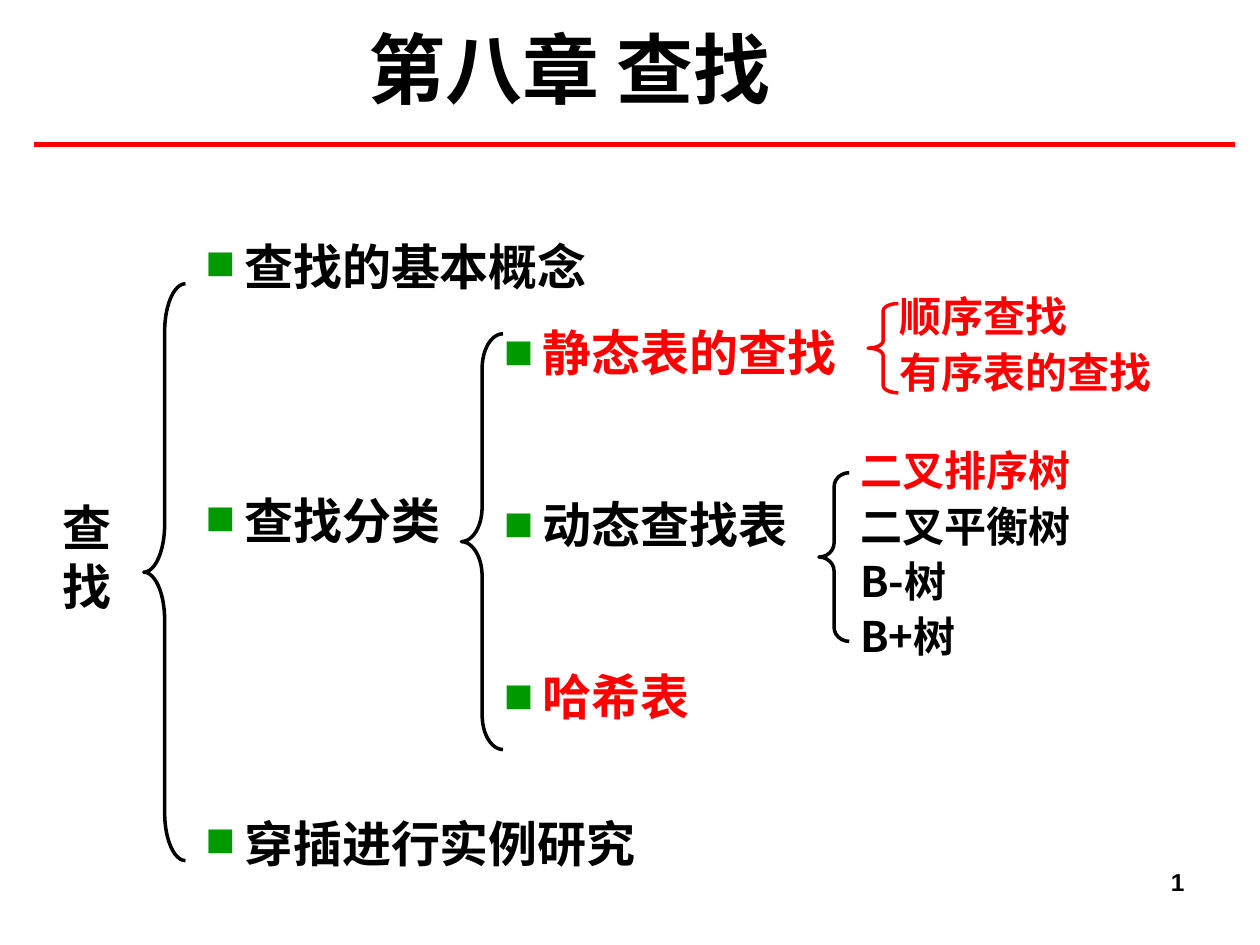
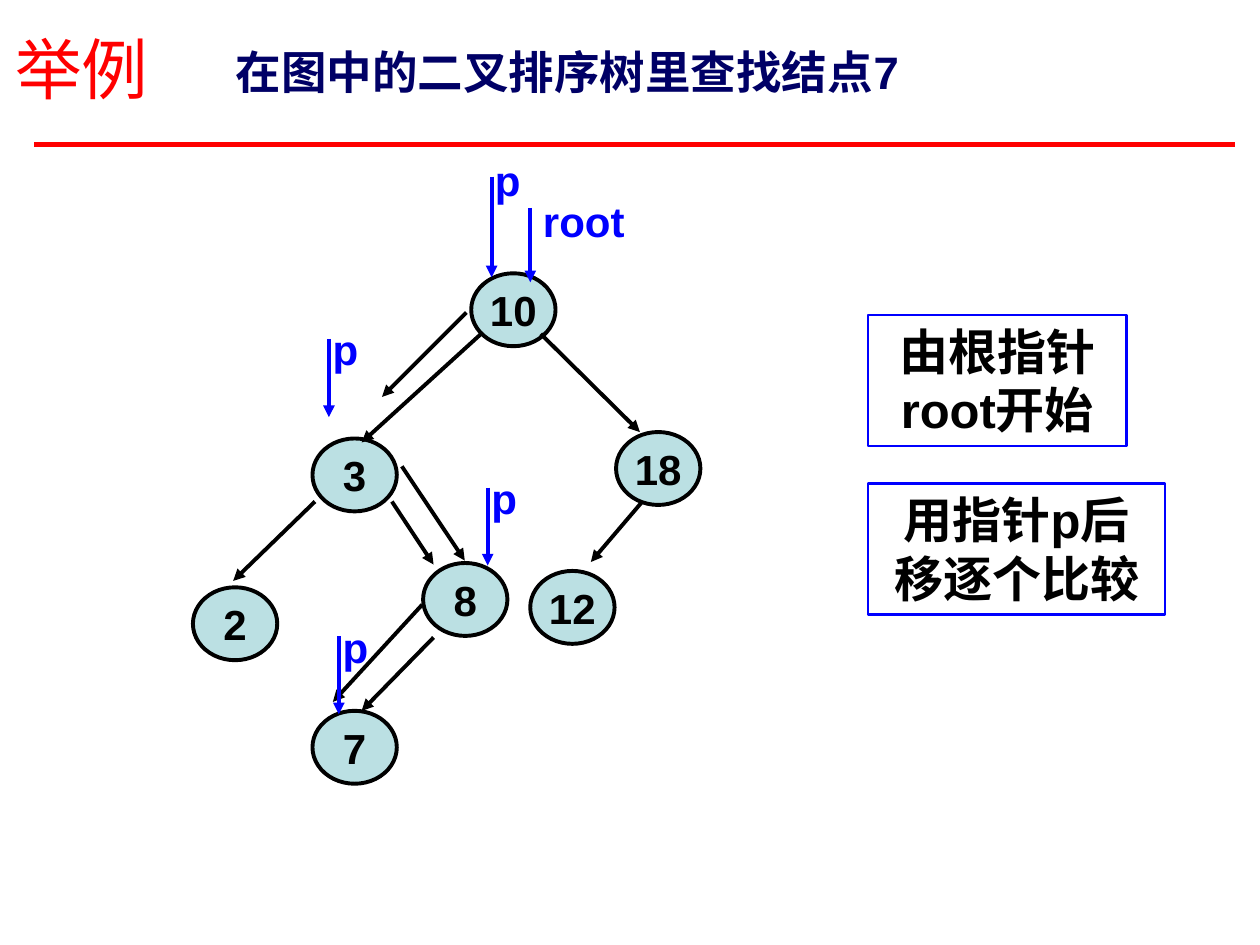
from lxml.etree import SubElement
from pptx import Presentation
from pptx.dml.color import RGBColor
from pptx.enum.shapes import MSO_CONNECTOR as Connector, MSO_SHAPE as Preset
from pptx.enum.text import MSO_ANCHOR as Anchor, MSO_AUTO_SIZE as AutoSize, PP_ALIGN as Align
from pptx.oxml.ns import qn
from pptx.util import Cm, Pt

COLORS = {
    "black": "000000",
    "red": "FF0000",
    "green": "009900",
    "blue": "0000FF",
    "navy": "000066",
    "node": "BBE0E3",
}
RGB = {name: RGBColor.from_string(value) for name, value in COLORS.items()}
CHINESE = "Noto Sans CJK SC"
LATIN = "Arial"


def write_text(shape, items, size, latin=CHINESE, bold=True, align=Align.LEFT, wrap=True):
    """Fill a shape with one paragraph for each (text, color) pair."""
    frame = shape.text_frame
    frame.text = "\n".join(text for text, color in items)
    frame.auto_size = AutoSize.NONE
    frame.word_wrap = wrap
    for paragraph, (text, color) in zip(frame.paragraphs, items):
        paragraph.alignment = align
        for run in paragraph.runs:
            run.font.size = Pt(size)
            run.font.bold = bold
            run.font.color.rgb = RGB[color]
            run.font.name = latin
            SubElement(run.font._element, qn("a:ea"), typeface=CHINESE)
    return frame.paragraphs


def add_line(slide, ends, color, width, arrow=True):
    """Draw a straight line between (x1, y1, x2, y2) in centimetres."""
    line = slide.shapes.add_connector(Connector.STRAIGHT, *[Cm(value) for value in ends])
    line.line.color.rgb = RGB[color]
    line.line.width = Pt(width)
    properties = line._element.spPr
    if arrow:
        SubElement(properties.find(qn("a:ln")), qn("a:tailEnd"), type="triangle")
    SubElement(properties, qn("a:effectLst"))
    return line


presentation = Presentation()
presentation.slide_width, presentation.slide_height = Cm(25.4), Cm(19.05)
layouts = presentation.slide_layouts
outline_slide = presentation.slides.add_slide(layouts[1])
example_slide = presentation.slides.add_slide(layouts[5])

# Shared red rule, placed on the master
rule = add_line(outline_slide, (0.69, 2.92, 24.89, 2.92), "red", 3, arrow=False)
presentation.slide_master.shapes._spTree.append(rule._element)

# Titles
for slide, text, color, size, bold, align in [
    (outline_slide, "第八章 查找", "black", 44, True, Align.CENTER),
    (example_slide, "举例", "red", 38, False, Align.LEFT),
]:
    title = slide.shapes.title
    title.left, title.top, title.width, title.height = Cm(0.05), Cm(0), Cm(22.86), Cm(2.72)
    write_text(title, [(text, color)], size, bold=bold, align=align)
    title.text_frame.vertical_anchor = Anchor.MIDDLE

# Outline: bulleted chapter topics and kinds of search
topics = outline_slide.placeholders[1]
topics.left, topics.top, topics.width, topics.height = Cm(3.89), Cm(5.05), Cm(13), Cm(14)
kinds = outline_slide.shapes.add_textbox(Cm(9.91), Cm(6.32), Cm(7.8), Cm(8.97))
for shape, items, line_spacing, gaps in [
    (topics,
     [("查找的基本概念", "black"), ("查找分类", "black"), ("穿插进行实例研究", "black")],
     0.6, (0, 125.5, 164)),
    (kinds,
     [("静态表的查找", "red"), ("动态查找表", "black"), ("哈希表", "red")],
     1.05, (0, 63, 63)),
]:
    for paragraph, gap in zip(write_text(shape, items, 28), gaps):
        properties = paragraph._p.get_or_add_pPr()
        properties.set("marL", str(Cm(0.78)))
        properties.set("indent", str(-Cm(0.78)))
        bullet_color = SubElement(properties, qn("a:buClr"))
        SubElement(bullet_color, qn("a:srgbClr"), val=COLORS["green"])
        SubElement(properties, qn("a:buFont"), typeface=LATIN)
        SubElement(properties, qn("a:buChar"), char="■")
        paragraph.line_spacing = line_spacing
        paragraph.space_before = Pt(gap)

# Outline: root word and the methods of each kind
for left, top, width, height, size, line_spacing, items in [
    (1.02, 9.91, 1.5, 2.64, 28, 1.0, [("查", "black"), ("找", "black")]),
    (17.88, 5.64, 6.81, 2.49, 24, 1.1, [("顺序查找", "red"), ("有序表的查找", "red")]),
    (17.09, 8.74, 5.21, 4.72, 24, 1.1,
     [("二叉排序树", "red"), ("二叉平衡树", "black"), ("B-树", "black"), ("B+树", "black")]),
]:
    box = outline_slide.shapes.add_textbox(Cm(left), Cm(top), Cm(width), Cm(height))
    for paragraph in write_text(box, items, size):
        paragraph.line_spacing = line_spacing

# Outline: braces, whose curves take a twelfth of the height
for left, top, width, height, color in [
    (2.9, 5.72, 0.84, 11.63, "black"),
    (9.3, 6.73, 0.84, 8.38, "black"),
    (17.5, 6.12, 0.61, 1.8, "red"),
    (16.51, 9.53, 0.61, 3.4, "black"),
]:
    brace = outline_slide.shapes.add_shape(
        Preset.LEFT_BRACE, Cm(left), Cm(top), Cm(width), Cm(height))
    brace.adjustments[0] = height / 12 / width
    brace.fill.background()
    brace.line.color.rgb = RGB[color]
    brace.line.width = Pt(2)
    brace.shadow.inherit = False

# Outline: slide number as a live field
number = outline_slide.shapes.add_textbox(Cm(18.21), Cm(17.35), Cm(5.92), Cm(1.32))
paragraph = write_text(number, [("1", "black")], 14, latin=LATIN, align=Align.RIGHT)[0]
run = paragraph.runs[0]._r
field = SubElement(paragraph._p, qn("a:fld"),
                   id="{B6F15528-21DE-4FAA-801E-634DDDAF4B2B}", type="slidenum")
field.extend(list(run))
paragraph._p.remove(run)

# Example: question beside the title
question = example_slide.shapes.add_textbox(Cm(4.5), Cm(0.76), Cm(18.59), Cm(1.37))
write_text(question, [("在图中的二叉排序树里查找结点7", "navy")], 26, latin=LATIN)

# Example: tree nodes
for key, left, top in [
    ("10", 9.5, 5.51),
    ("3", 6.3, 8.84),
    ("18", 12.42, 8.71),
    ("2", 3.89, 11.84),
    ("8", 8.53, 11.35),
    ("7", 6.3, 14.33),
    ("12", 10.69, 11.51),
]:
    node = example_slide.shapes.add_shape(Preset.OVAL, Cm(left), Cm(top), Cm(1.7), Cm(1.47))
    node.fill.solid()
    node.fill.fore_color.rgb = RGB["node"]
    node.line.color.rgb = RGB["black"]
    node.line.width = Pt(2.25)
    node.shadow.inherit = False
    write_text(node, [(key, "black")], 24, latin=LATIN, align=Align.CENTER, wrap=False)
    node.text_frame.vertical_anchor = Anchor.MIDDLE

# Example: tree edges, then the steps of the search
tree_edges = [
    (9.7, 6.73, 7.29, 8.92),
    (6.35, 10.11, 4.7, 11.71),
    (7.9, 10.11, 8.74, 11.38),
    (8.74, 12.85, 7.29, 14.33),
    (10.9, 6.73, 12.9, 8.71),
    (12.95, 10.11, 11.91, 11.33),
]
search_steps = [
    (9.4, 6.3, 7.7, 8),
    (8.1, 9.4, 9.37, 11.3),
    (8.51, 12.19, 6.71, 14.15),
]
for ends in tree_edges + search_steps:
    add_line(example_slide, ends, "black", 2.25)

# Example: explanations
for text, top, width in [
    ("由根指针root开始", 6.35, 5.21),
    ("用指针p后移逐个比较", 9.75, 5.99),
]:
    note = example_slide.shapes.add_shape(
        Preset.RECTANGLE, Cm(17.5), Cm(top), Cm(width), Cm(2.64))
    note.fill.background()
    note.line.color.rgb = RGB["blue"]
    note.line.width = Pt(1.5)
    note.shadow.inherit = False
    write_text(note, [(text, "black")], 28, latin=LATIN, align=Align.CENTER)
    note.text_frame.vertical_anchor = Anchor.TOP

# Example: pointers, each a label with a downward arrow
for name, left, top, width, arrow_x, arrow_top, arrow_bottom in [
    ("root", 10.69, 3.81, 2.16, 10.69, 4.19, 5.69),
    ("p", 9.37, 3, 1.73, 9.91, 3.56, 5.59),
    ("p", 6.1, 6.4, 1.73, 6.63, 6.83, 8.41),
    ("p", 9.3, 9.4, 1.73, 9.83, 9.83, 11.4),
    ("p", 6.3, 12.4, 1.73, 6.83, 12.83, 14.4),
]:
    label = example_slide.shapes.add_textbox(Cm(left), Cm(top), Cm(width), Cm(1.27))
    write_text(label, [(name, "blue")], 24, latin=LATIN, align=Align.CENTER, wrap=False)
    add_line(example_slide, (arrow_x, arrow_top, arrow_x, arrow_bottom), "blue", 2.25)

presentation.save("out.pptx")
